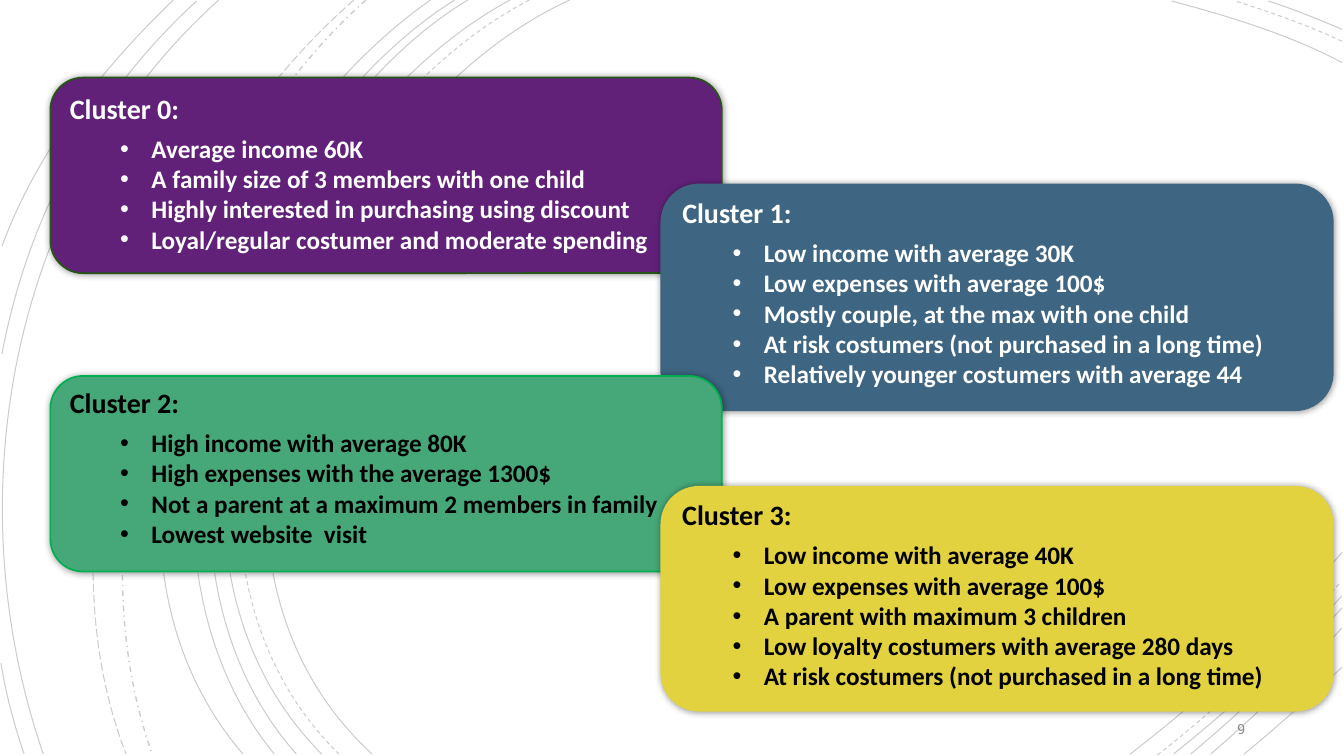
from lxml.etree import SubElement
from pptx import Presentation
from pptx.dml.color import RGBColor
from pptx.enum.dml import MSO_LINE
from pptx.enum.shapes import MSO_SHAPE
from pptx.enum.text import MSO_ANCHOR, PP_ALIGN
from pptx.oxml.ns import qn
from pptx.util import Inches, Pt

COLORS = {
    "black": "000000", "white": "FFFFFF", "grey": "8C8C8C",
    "purple": "622179", "dark green": "275417", "blue": "3E6582",
    "green": "46A879", "bright green": "00B050", "yellow": "E2D23F",
}

SOLID, DASH = MSO_LINE.SOLID, MSO_LINE.DASH
DASH_DOT, LONG_DASH = MSO_LINE.DASH_DOT, MSO_LINE.LONG_DASH

# Each arc: start, two control points, end, dash
ARCS = [
    ((5.65, 0), (3.15, 1.15), (1.43, 5.4), (3.69, 7.48), SOLID),
    ((13.31, 0.62), (12.78, 0.34), (12.18, 0.16), (11.62, 0.01), SOLID),
    ((11.21, 7.48), (11.97, 6.9), (12.69, 6.22), (13.31, 5.48), SOLID),
    ((5.25, 0), (2.85, 1.25), (1.23, 5.37), (3.36, 7.48), DASH),
    ((13.31, 0.41), (12.97, 0.25), (12.6, 0.12), (12.25, 0.01), DASH),
    ((11.48, 7.49), (12.13, 6.98), (12.75, 6.4), (13.3, 5.77), DASH),
    ((5.06, 0), (2.7, 1.27), (1.1, 5.37), (3.19, 7.48), SOLID),
    ((13.31, 0.29), (13.07, 0.19), (12.83, 0.09), (12.58, 0.01), SOLID),
    ((11.64, 7.48), (12.23, 7.01), (12.8, 6.48), (13.31, 5.91), SOLID),
    ((4.64, 0), (2.44, 1.33), (1.1, 5.41), (2.94, 7.48), SOLID),
    ((11.81, 7.48), (12.34, 7.04), (12.84, 6.55), (13.31, 6.03), SOLID),
    ((4.51, 0), (2.31, 1.38), (0.97, 5.33), (2.72, 7.48), SOLID),
    ((12.01, 7.48), (12.46, 7.09), (12.9, 6.67), (13.31, 6.23), SOLID),
    ((4.27, 0), (2.17, 1.47), (0.53, 5.29), (2.41, 7.48), SOLID),
    ((12.34, 7.48), (12.67, 7.21), (12.99, 6.92), (13.31, 6.62), SOLID),
    ((3.63, 0), (1.76, 1.66), (0.65, 5.09), (1.51, 7.48), DASH_DOT),
    ((3.51, 0), (1.57, 1.69), (0.29, 4.99), (1.25, 7.48), LONG_DASH),
    ((2.17, 0), (0.11, 1.85), (-0.46, 4.9), (0.43, 7.48), SOLID),
    ((1.95, 0.01), (0.92, 0.96), (0.28, 2.14), (0.02, 3.51), SOLID),
    ((0.01, 6.58), (0.06, 6.89), (0.14, 7.19), (0.24, 7.48), SOLID),
    ((1.72, 0), (1, 0.69), (0.37, 1.5), (0.02, 2.44), SOLID),
]

LEFT, RIGHT = 0.5, 6.56

# Each cluster: left, top, height, top inset, fill, line, text colour, traits
CLUSTERS = [
    (LEFT, 0.77, 1.94, 0.04, "purple", "dark green", "white", [
        "Average income 60K",
        "A family size of 3 members with one child",
        "Highly interested in purchasing using discount",
        "Loyal/regular costumer and moderate spending"]),
    (RIGHT, 1.83, 2.24, 0, "blue", "blue", "white", [
        "Low income with average 30K",
        "Low expenses with average 100$",
        "Mostly couple, at the max with one child",
        "At risk costumers (not purchased in a long time)",
        "Relatively younger costumers with average 44"]),
    (LEFT, 3.73, 1.94, 0, "green", "bright green", "black", [
        "High income with average 80K",
        "High expenses with the average 1300$",
        "Not a parent at a maximum 2 members in family",
        "Lowest website  visit"]),
    (RIGHT, 4.83, 2.22, 0, "yellow", "yellow", "black", [
        "Low income with average 40K",
        "Low expenses with average 100$",
        "A parent with maximum 3 children",
        "Low loyalty costumers with average 280 days",
        "At risk costumers (not purchased in a long time)"]),
]


def rgb(name):
    return RGBColor.from_string(COLORS[name])


class ClusterSlide:
    body_font, number_font = "Calibri", "Roboto Slab"

    def __init__(self, slide):
        self.shapes = slide.shapes

    def format_text(self, paragraph, font, size, color, bold=False):
        for run in paragraph.runs:
            run.font.name, run.font.size = font, Pt(size)
            run.font.bold, run.font.color.rgb = bold, rgb(color)

    def arc(self, start, control_1, control_2, end, dash):
        points = [(Inches(x), Inches(y)) for x, y in (start, control_1, control_2, end)]
        builder = self.shapes.build_freeform(*points[0])
        builder.add_line_segments(points[1:], close=False)
        curve = builder.convert_to_shape()
        curve.shadow.inherit = False
        curve.fill.background()
        curve.line.color.rgb = rgb("black")
        curve.line.width = Pt(1 if dash == DASH_DOT else 0.75)
        curve.line.dash_style = dash
        line_color = next(curve.line._ln.iter(qn("a:srgbClr")))
        SubElement(line_color, qn("a:alpha"), val="20000")
        # Turn the three segments into one cubic curve
        outline = next(curve._element.iter(qn("a:moveTo"))).getparent()
        bezier = SubElement(outline, qn("a:cubicBezTo"))
        for segment in outline.findall(qn("a:lnTo")):
            bezier.append(segment[0])
            outline.remove(segment)

    def box(self, kind, left, top, width, height, fill, line):
        box = self.shapes.add_shape(
            kind, Inches(left), Inches(top), Inches(width), Inches(height))
        box.shadow.inherit = False
        box.fill.solid()
        box.fill.fore_color.rgb = rgb(fill)
        box.line.color.rgb = rgb(line)
        box.line.width = Pt(1.25)
        return box

    def glow_shadow(self, box):
        effects = box._element.spPr.find(qn("a:effectLst"))
        shadow = SubElement(effects, qn("a:outerShdw"), blurRad=str(Pt(5)),
                            dist="0", dir="0", algn="ctr", rotWithShape="0")
        color = SubElement(shadow, qn("a:srgbClr"), val=COLORS["black"])
        SubElement(color, qn("a:alpha"), val="40000")

    def bullet(self, paragraph):
        properties = paragraph._p.get_or_add_pPr()
        properties.set("marL", str(Inches(0.81)))
        properties.set("indent", str(Inches(-0.31)))
        SubElement(properties, qn("a:buFont"), typeface="Arial")
        SubElement(properties, qn("a:buChar"), char="•")

    def cluster(self, title, left, top, height, inset, fill, line, color, traits):
        card = self.box(MSO_SHAPE.ROUNDED_RECTANGLE, left, top, 6.66, height, fill, line)
        self.glow_shadow(card)
        frame = card.text_frame
        frame.word_wrap = True
        frame.vertical_anchor = MSO_ANCHOR.TOP
        frame.margin_top, frame.margin_bottom = Inches(inset), 0
        frame.text = "\n".join([title, *traits])
        heading, *items = frame.paragraphs
        heading.alignment = PP_ALIGN.LEFT
        self.format_text(heading, self.body_font, 20, color, bold=True)
        heading.space_after = Pt(6)
        for item in items:
            item.alignment = PP_ALIGN.LEFT
            item.level = 1
            item.line_spacing = Pt(21.6)
            self.bullet(item)
            self.format_text(item, self.body_font, 18, color, bold=True)

    def page_number(self, number):
        label = self.shapes.add_textbox(Inches(11.45), Inches(7.06), Inches(1), Inches(0.35))
        frame = label.text_frame
        frame.word_wrap = True
        frame.vertical_anchor = MSO_ANCHOR.MIDDLE
        frame.text = number
        frame.paragraphs[0].alignment = PP_ALIGN.RIGHT
        self.format_text(frame.paragraphs[0], self.number_font, 10, "grey")


def main():
    presentation = Presentation()
    presentation.slide_width, presentation.slide_height = Inches(13.33), Inches(7.5)
    page = ClusterSlide(presentation.slides.add_slide(presentation.slide_layouts[6]))

    # Background arcs, with a white patch over their middle
    for arc in ARCS:
        page.arc(*arc)
    page.box(MSO_SHAPE.RECTANGLE, 0.73, 1.83, 4.54, 3.85, "white", "white")

    # Cluster cards
    for index, cluster in enumerate(CLUSTERS):
        page.cluster(f"Cluster {index}:", *cluster)

    page.page_number("9")
    presentation.save("out.pptx")


if __name__ == "__main__":
    main()
